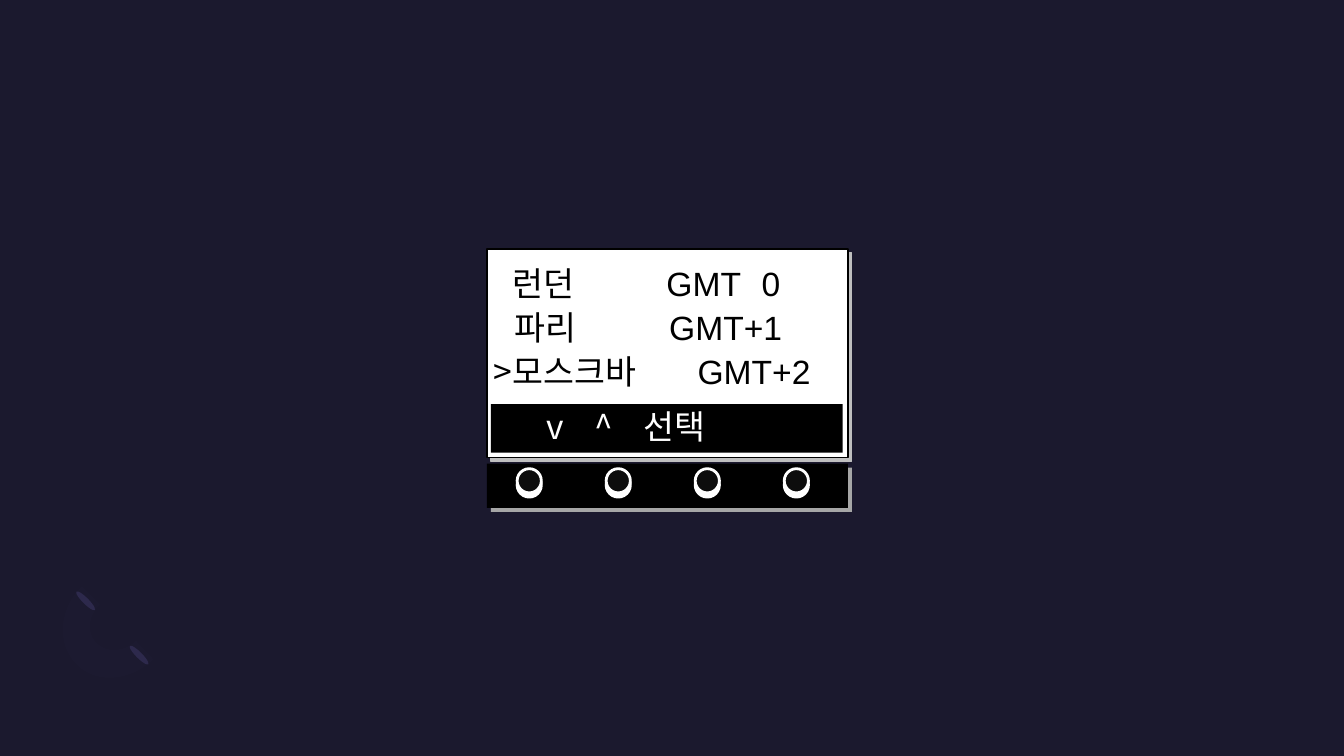
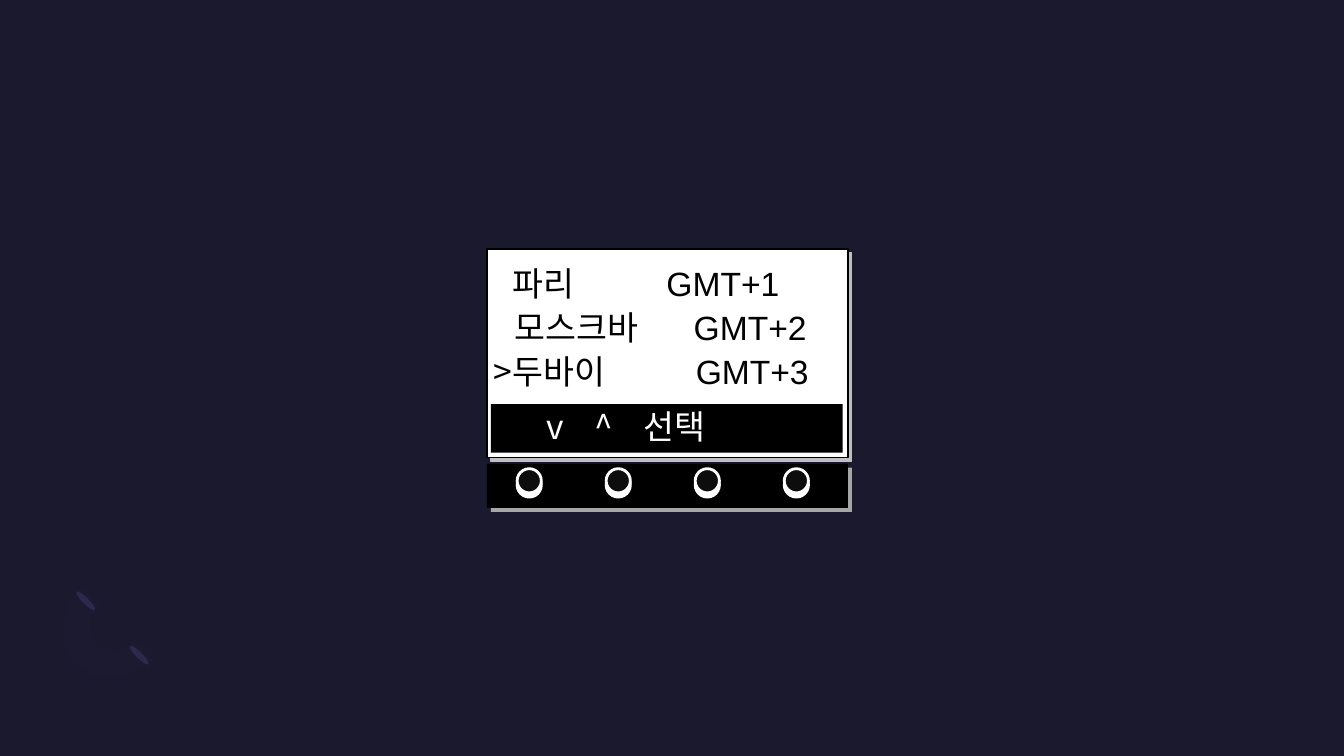
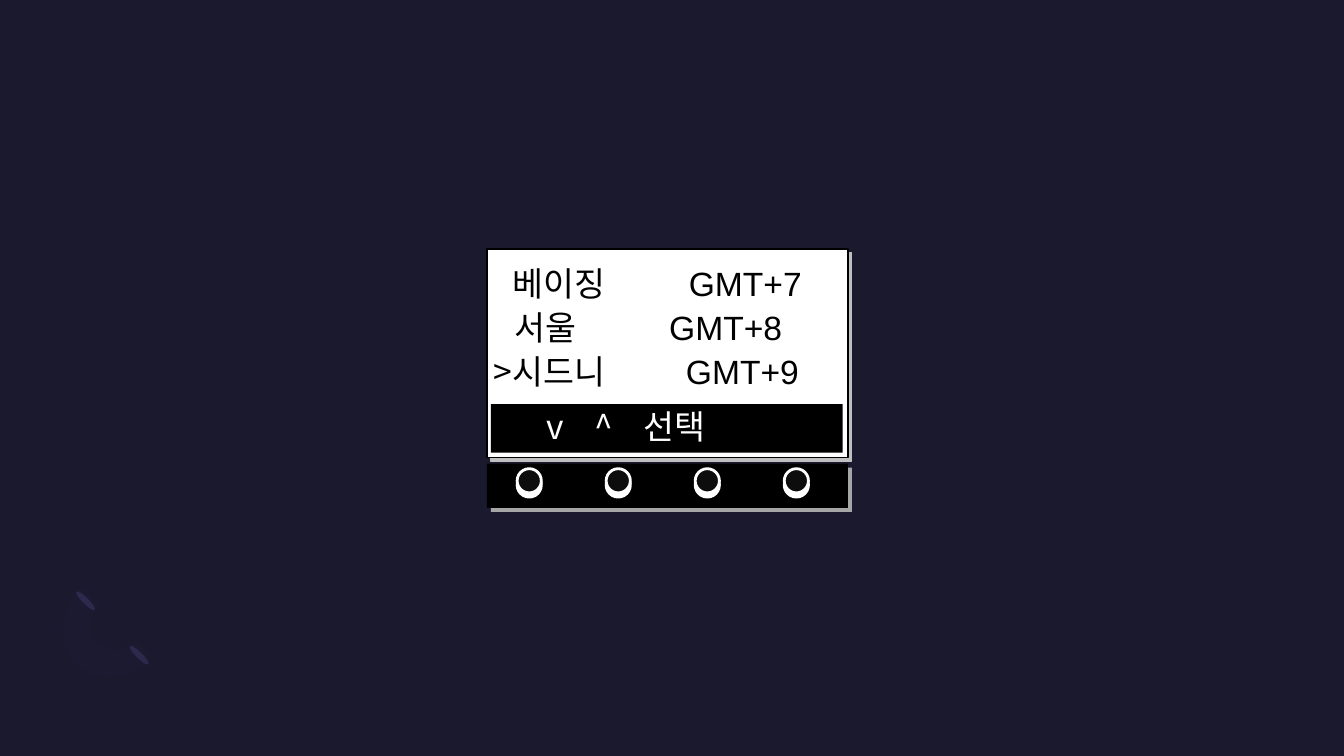
from dataclasses import dataclass
from typing import Optional

from pptx import Presentation
from pptx.dml.color import RGBColor
from pptx.enum.shapes import MSO_SHAPE
from pptx.enum.text import MSO_ANCHOR
from pptx.oxml import parse_xml
from pptx.oxml.ns import nsdecls, qn
from pptx.util import Pt

NAVY, INDIGO, VIOLET = "1B192E", "2C284A", "7771B2"
BLACK, WHITE, KNOB = "000000", "FFFFFF", "0D0D0D"
HANGUL, LATIN = "Noto Sans CJK KR", "Arial"
TEXT_SIZE = 24
LINE_W, LINE_H = 259.2, 36
FRAME_FORMAT = {
    "word_wrap": True,
    "vertical_anchor": MSO_ANCHOR.MIDDLE,
    "margin_right": 0,
}


@dataclass(frozen=True)
class Shadow:
    color: str
    dist: float
    angle: int


@dataclass(frozen=True)
class Block:
    """A preset shape; lengths in points."""
    left: float
    top: float
    width: float
    height: float
    fill: str
    kind: MSO_SHAPE = MSO_SHAPE.RECTANGLE
    line: Optional[tuple[str, float]] = None
    shadow: Optional[Shadow] = None
    rotation: float = 0


@dataclass(frozen=True)
class Row:
    """Place of a list row: box corner and where its text starts."""
    left: float
    top: float
    start: float


@dataclass(frozen=True)
class Zone:
    """A city with its offset and the x where the offset starts."""
    city: str
    offset: str
    x: float


# Device parts
SCREEN = Block(347.8, 177.8, 257.8, 149, WHITE, line=(BLACK, 1),
               shadow=Shadow("BFBFBF", 4, 45))
MENU_BAR = Block(350.6, 288.7, 251.3, 34.6, BLACK)
PANEL = Block(347.8, 331.2, 257.8, 31.7, BLACK, shadow=Shadow("A6A6A6", 4, 45))
KNOBS = [
    Block(369.4 + 63.6 * i, 334.8, 17.3, 17.3, KNOB, MSO_SHAPE.OVAL,
          (WHITE, 2), Shadow(WHITE, 3, 90))
    for i in range(4)
]
MENU_ROW = Row(346.3, 286.6, 390.3)
ROWS = [Row(355, 184.3, 366), Row(355, 215.3, 367.5), Row(345.6, 247, 352.8)]
ZERO_X = 544

# Background ornament
GLINTS = [
    Block(x, y, 4.3, 18.7, INDIGO, MSO_SHAPE.OVAL, rotation=135)
    for x, y in ((97.2, 458.6), (59, 419.8))
]
ARC_START = (54.7, 474.5)
ARC = [
    ((40.3, 460.1), (41.8, 435.6), (58.3, 419)),
    ((71.3, 432),),
    ((62.6, 439.9), (61.9, 452.9), (69.1, 459.4)),
    ((76.3, 466.6), (88.6, 465.8), (97.2, 457.9)),
    ((109.4, 470.9),),
    ((93.6, 486.7), (68.4, 488.9), ARC_START),
]

SLIDES = [
    [Zone("런던", "GMT\t0", 476), Zone("파리", "GMT+1", 478),
     Zone(">모스크바", "GMT+2", 498.3)],
    [Zone("파리", "GMT+1", 476), Zone("모스크바", "GMT+2", 495.5),
     Zone(">두바이", "GMT+3", 497)],
    [Zone("베이징", "GMT+7", 492), Zone("서울", "GMT+8", 478),
     Zone(">시드니", "GMT+9", 490)],
]


def rgb(color: str) -> RGBColor:
    return RGBColor.from_string(color)


def paint(fill, color: str) -> None:
    fill.solid()
    fill.fore_color.rgb = rgb(color)


def add_block(s, b: Block):
    sp = s.shapes.add_shape(b.kind, Pt(b.left), Pt(b.top), Pt(b.width), Pt(b.height))
    sp.rotation = b.rotation
    paint(sp.fill, b.fill)
    if b.line:
        color, width = b.line
        sp.line.color.rgb = rgb(color)
        sp.line.width = Pt(width)
    else:
        sp.line.fill.background()
    sp.shadow.inherit = False
    if b.shadow:
        sp.element.spPr.find(qn("a:effectLst")).append(parse_xml(
            f'<a:outerShdw {nsdecls("a")} dist="{Pt(b.shadow.dist)}" '
            f'dir="{b.shadow.angle * 60000}" algn="ctr" rotWithShape="0">'
            f'<a:srgbClr val="{b.shadow.color}"/></a:outerShdw>'))
    return sp


def add_line(s, row: Row, runs: list[tuple[str, str]], color: str,
             stops: list[float]) -> None:
    """One line of text with tab stops at the given x positions."""
    sp = s.shapes.add_textbox(Pt(row.left), Pt(row.top), Pt(LINE_W), Pt(LINE_H))
    tf = sp.text_frame
    for name, value in FRAME_FORMAT.items():
        setattr(tf, name, value)
    tf.margin_left = Pt(row.start - row.left)
    p = tf.paragraphs[0]
    tabs = "".join(f'<a:tab pos="{Pt(x - row.start)}" algn="l"/>' for x in stops)
    p._p.get_or_add_pPr().append(
        parse_xml(f'<a:tabLst {nsdecls("a")}>{tabs}</a:tabLst>'))
    for text, font in runs:
        r = p.add_run()
        r.text = text
        for name, value in {"size": Pt(TEXT_SIZE), "name": font}.items():
            setattr(r.font, name, value)
        r.font.color.rgb = rgb(color)
        r.font._element.append(
            parse_xml(f'<a:ea {nsdecls("a")} typeface="{HANGUL}"/>'))


def curve(p0, p1, p2, p3, steps: int = 12) -> list[tuple[float, float]]:
    """Points along a cubic curve, without its start."""
    def at(t: float, axis: int) -> float:
        u = 1 - t
        return (u ** 3 * p0[axis] + 3 * u * u * t * p1[axis]
                + 3 * u * t * t * p2[axis] + t ** 3 * p3[axis])
    return [(at(i / steps, 0), at(i / steps, 1)) for i in range(1, steps + 1)]


def add_arc(s):
    points = [ARC_START]
    for part in ARC:
        points += part if len(part) == 1 else curve(points[-1], *part)
    builder = s.shapes.build_freeform(Pt(ARC_START[0]), Pt(ARC_START[1]))
    builder.add_line_segments([(Pt(x), Pt(y)) for x, y in points[1:]], close=True)
    sp = builder.convert_to_shape()
    paint(sp.fill, VIOLET)
    sp.element.spPr.find(f'{qn("a:solidFill")}/{qn("a:srgbClr")}').append(
        parse_xml(f'<a:alpha {nsdecls("a")} val="2000"/>'))
    sp.line.fill.background()
    sp.shadow.inherit = False
    return sp


def dress_master(prs, s) -> None:
    """Give the master its background and move the ornament onto it."""
    paint(prs.slide_master.background.fill, NAVY)
    for sp in [add_block(s, b) for b in GLINTS] + [add_arc(s)]:
        prs.slide_master.shapes.element.append(sp.element)


def add_device(s, zones: list[Zone]) -> None:
    for b in (SCREEN, MENU_BAR, PANEL, *KNOBS):
        add_block(s, b)
    add_line(s, MENU_ROW, [("v\t^\t선택", HANGUL)], WHITE, [424.5, 460])
    for row, z in zip(ROWS, zones):
        stops = [z.x, ZERO_X] if "\t" in z.offset else [z.x]
        add_line(s, row, [(f"{z.city}\t", HANGUL), (z.offset, LATIN)], BLACK, stops)


def main() -> None:
    prs = Presentation()
    prs.slide_width, prs.slide_height = Pt(960), Pt(540)
    for i, zones in enumerate(SLIDES):
        s = prs.slides.add_slide(prs.slide_layouts[6])
        if i == 0:
            dress_master(prs, s)
        add_device(s, zones)
    prs.save("out.pptx")


if __name__ == "__main__":
    main()
